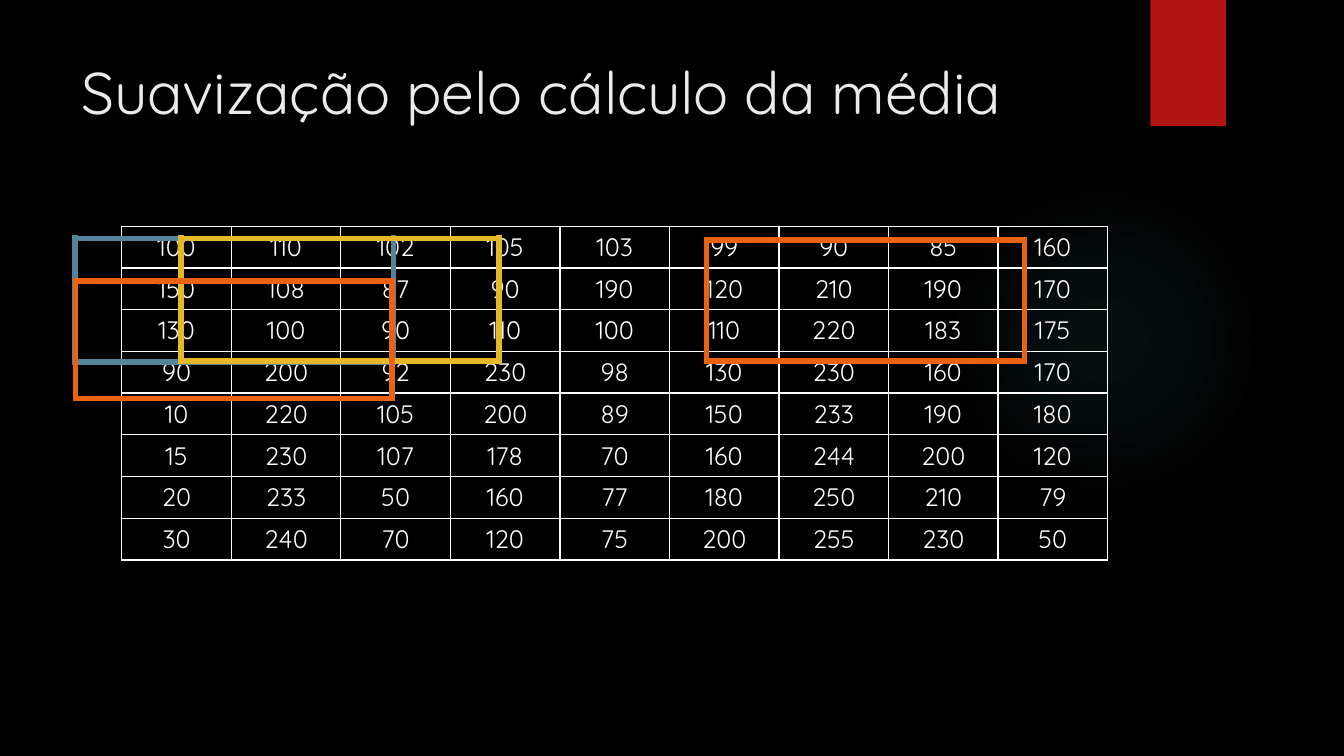
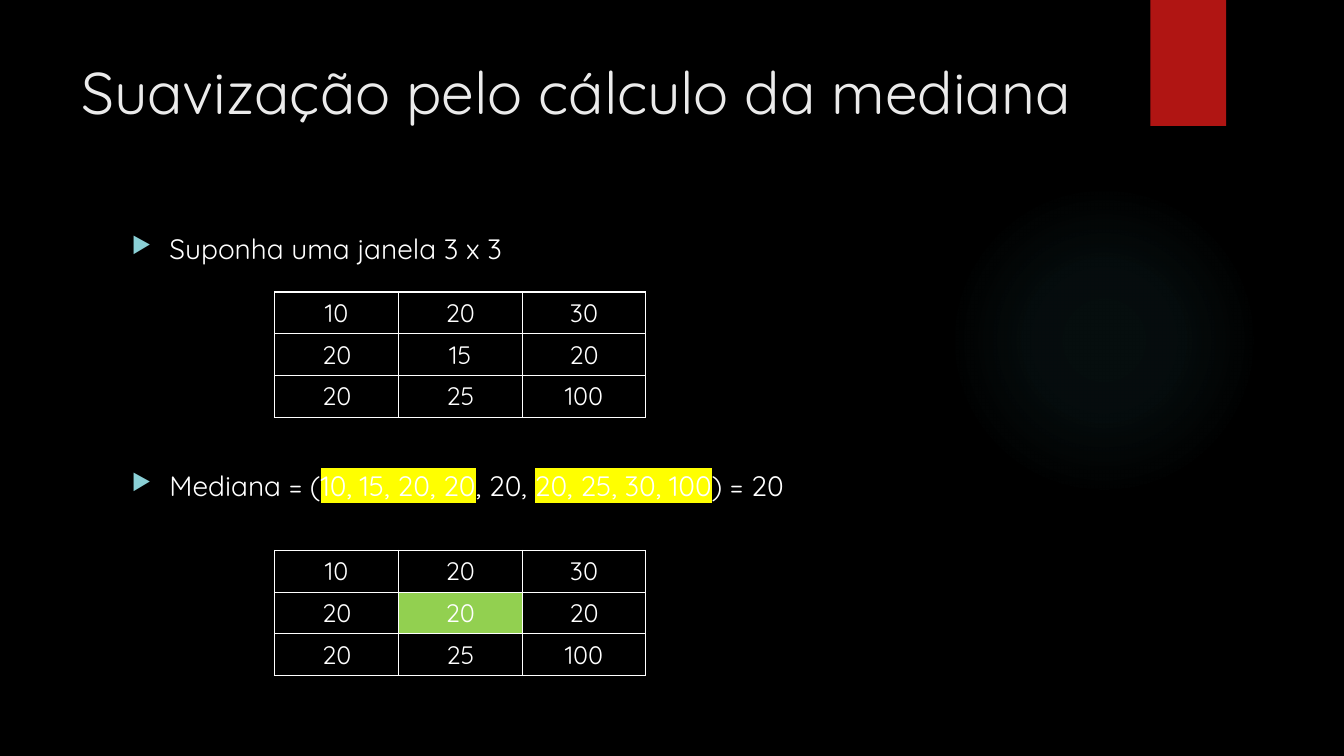
from lxml import etree
from pptx import Presentation
from pptx.dml.color import RGBColor
from pptx.enum.shapes import MSO_SHAPE
from pptx.enum.text import MSO_ANCHOR, PP_ALIGN
from pptx.oxml import parse_xml
from pptx.oxml.ns import nsdecls, qn
from pptx.util import Pt

FONT = "Quicksand"
WHITE, BLACK, RED, TITLE_GREY = "FFFFFF", "000000", "B01513", "EBEBEB"
BLUE, GOLD, ORANGE, GREEN = "54849A", "E6B729", "EA6312", "92D050"
GLOW, BULLET, YELLOW = "50B9C1", "8AD0D6", "FFFF00"
GLOW_STOPS = [(0, 7), (36, 6), (69, 0)]
ROW_HEIGHT = 29.8

MEAN_TITLE = "Suavização pelo cálculo da média"
MEAN_GRID = [
    [100, 110, 102, 105, 103, 99, 90, 85, 160],
    [150, 108, 87, 90, 190, 120, 210, 190, 170],
    [130, 100, 90, 110, 100, 110, 220, 183, 175],
    [90, 200, 92, 230, 98, 130, 230, 160, 170],
    [10, 220, 105, 200, 89, 150, 233, 190, 180],
    [15, 230, 107, 178, 70, 160, 244, 200, 120],
    [20, 233, 50, 160, 77, 180, 250, 210, 79],
    [30, 240, 70, 120, 75, 200, 255, 230, 50],
]
WINDOWS = [
    (53.4, 170.2, 227.6, 88.4, BLUE),
    (129.3, 170.2, 227, 87.8, GOLD),
    (53.9, 200.8, 226, 84, ORANGE),
    (504.8, 171.6, 227, 86.2, ORANGE),
]

MEDIAN_TITLE = "Suavização pelo cálculo da mediana"
MEDIAN_STEPS = [
    (0, [("Suponha uma janela 3 x 3", False)]),
    (145, [("Mediana = (", False), ("10, 15, 20, 20", True), (", 20, ", False),
           ("20, 25, 30, 100", True), (") = 20", False)]),
]
WINDOW_BEFORE = [[10, 20, 30], [20, 15, 20], [20, 25, 100]]
WINDOW_AFTER = [[10, 20, 30], [20, 20, 20], [20, 25, 100]]


def rgb(value):
    return RGBColor.from_string(value)


def points(*values):
    return [Pt(value) for value in values]


def style_font(font, size, color):
    font.size = Pt(size)
    font.name = FONT
    font.color.rgb = rgb(color)


def add_glow(slide):
    shape = slide.shapes.add_shape(MSO_SHAPE.OVAL, *points(677.5, 131.8, 221.8, 221.8))
    shape.shadow.inherit = False
    shape.line.fill.background()
    shape.fill.background()
    stops = "".join(
        f'<a:gs pos="{position * 1000}"><a:srgbClr val="{GLOW}">'
        f'<a:alpha val="{alpha * 1000}"/></a:srgbClr></a:gs>'
        for position, alpha in GLOW_STOPS)
    gradient = parse_xml(
        f'<a:gradFill {nsdecls("a")} rotWithShape="1"><a:gsLst>{stops}</a:gsLst>'
        '<a:path path="circle"><a:fillToRect l="50000" t="50000" r="50000" b="50000"/>'
        '</a:path></a:gradFill>')
    properties = shape.element.spPr
    properties.replace(properties.find(qn("a:noFill")), gradient)


def add_text_box(slide, *frame):
    text_frame = slide.shapes.add_textbox(*points(*frame)).text_frame
    text_frame.word_wrap = True
    return text_frame


def add_slide(presentation, title):
    slide = presentation.slides.add_slide(presentation.slide_layouts[6])
    slide.background.fill.solid()
    slide.background.fill.fore_color.rgb = rgb(BLACK)
    add_glow(slide)
    band = slide.shapes.add_shape(MSO_SHAPE.RECTANGLE, *points(821.8, 0, 54, 90))
    band.shadow.inherit = False
    band.fill.solid()
    band.fill.fore_color.rgb = rgb(RED)
    band.line.fill.background()
    text_frame = add_text_box(slide, 51, 36, 741, 110)
    text_frame.text = title
    style_font(text_frame.paragraphs[0].runs[0].font, 42, TITLE_GREY)
    return slide


def set_borders(cell, color, width):
    properties = cell._tc.get_or_add_tcPr()
    for index, side in enumerate("LRTB"):
        properties.insert(index, parse_xml(
            f'<a:ln{side} {nsdecls("a")} w="{Pt(width)}"><a:solidFill>'
            f'<a:srgbClr val="{color}"/></a:solidFill></a:ln{side}>'))


def add_grid(slide, rows, left, top, width, height, color=WHITE, border=1, marked=None):
    frame = slide.shapes.add_table(
        len(rows), len(rows[0]), *points(left, top, width, height))
    table = frame.table
    table.first_row = table.horz_banding = False
    for row_index, row in enumerate(rows):
        for column_index, value in enumerate(row):
            cell = table.cell(row_index, column_index)
            cell.text = str(value)
            cell.vertical_anchor = MSO_ANCHOR.MIDDLE
            paragraph = cell.text_frame.paragraphs[0]
            paragraph.alignment = PP_ALIGN.CENTER
            style_font(paragraph.font, 18, WHITE)
            for run in paragraph.runs:
                style_font(run.font, 18, WHITE)
            if (row_index, column_index) == marked:
                cell.fill.solid()
                cell.fill.fore_color.rgb = rgb(GREEN)
            else:
                cell.fill.background()
            set_borders(cell, color, border)


def set_bullet(paragraph):
    properties = paragraph._p.get_or_add_pPr()
    properties.set("marL", str(Pt(27)))
    properties.set("indent", str(Pt(-27)))
    color = etree.SubElement(properties, qn("a:buClr"))
    etree.SubElement(color, qn("a:srgbClr"), val=BULLET)
    etree.SubElement(properties, qn("a:buSzPct"), val="80000")
    etree.SubElement(properties, qn("a:buChar"), char="▶")


def highlight(run):
    mark = parse_xml(
        f'<a:highlight {nsdecls("a")}><a:srgbClr val="{YELLOW}"/></a:highlight>')
    run.font._element.find(qn("a:solidFill")).addnext(mark)


def add_steps(slide, steps):
    text_frame = add_text_box(slide, 87, 162, 704, 330)
    for index, (space_before, parts) in enumerate(steps):
        paragraph = text_frame.add_paragraph() if index else text_frame.paragraphs[0]
        set_bullet(paragraph)
        paragraph.space_before = Pt(space_before)
        for text, marked in parts:
            run = paragraph.add_run()
            run.text = text
            style_font(run.font, 20, WHITE)
            if marked:
                highlight(run)


def main():
    presentation = Presentation()
    presentation.slide_width, presentation.slide_height = points(960, 540)

    mean_slide = add_slide(presentation, MEAN_TITLE)
    add_grid(mean_slide, MEAN_GRID, 87, 161.6, 704.2, ROW_HEIGHT * len(MEAN_GRID))
    for *frame, color in WINDOWS:
        add_grid(mean_slide, [[""]], *frame, color=color, border=4.5)

    median_slide = add_slide(presentation, MEDIAN_TITLE)
    add_steps(median_slide, MEDIAN_STEPS)
    for rows, top, marked in [(WINDOW_BEFORE, 208.6, None), (WINDOW_AFTER, 393.2, (1, 1))]:
        add_grid(median_slide, rows, 196.3, top, 265, ROW_HEIGHT * len(rows), marked=marked)

    presentation.save("out.pptx")


if __name__ == "__main__":
    main()
